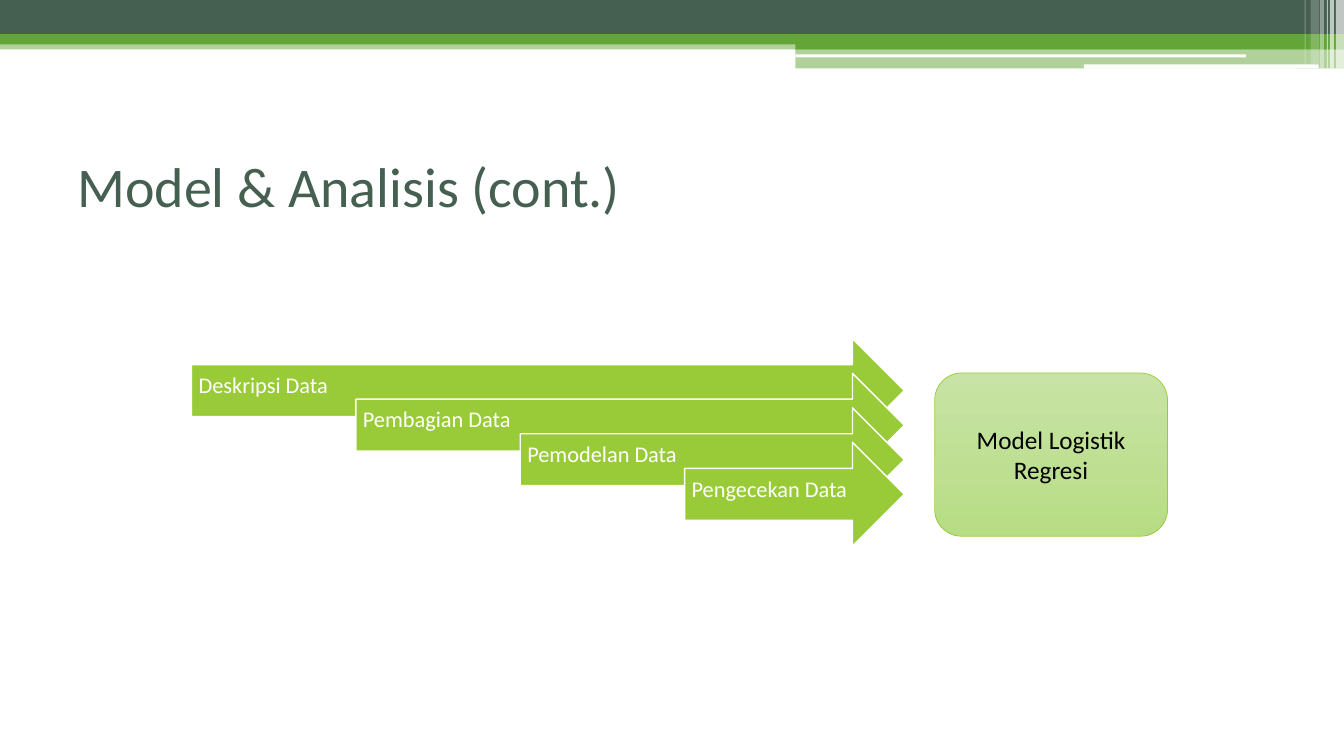
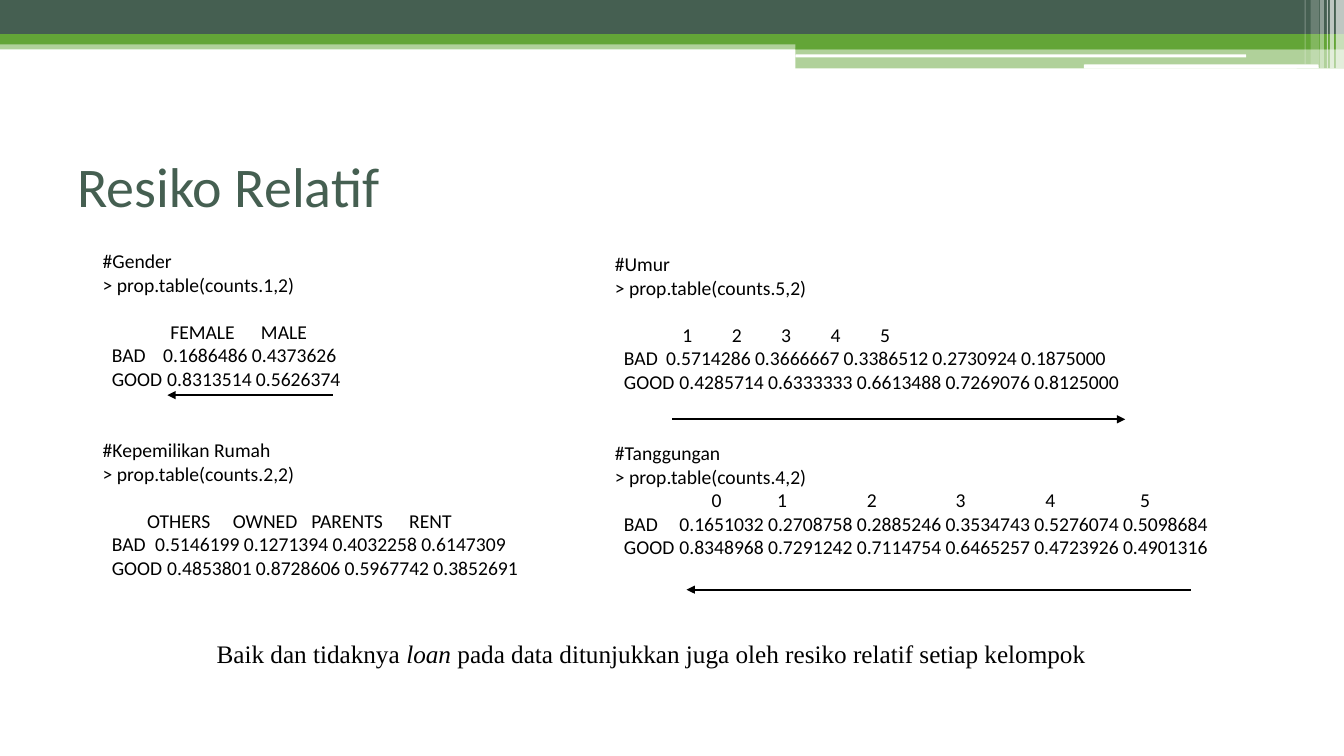
import pptx
import pptx.dml.color
import pptx.enum.shapes
import pptx.enum.text
import pptx.oxml.ns
import pptx.util
import lxml.etree

WIDTH, HEIGHT = 13.33, 7.5
COLORS = {"dark": "455F51", "green": "63A537", "lime": "99CB38", "pale": "C8E3A5",
          "soft": "B7DD84", "white": "FFFFFF", "black": "000000"}
SHAPES = pptx.enum.shapes.MSO_SHAPE
ALIGN = pptx.enum.text.PP_ALIGN
MIDDLE = pptx.enum.text.MSO_ANCHOR.MIDDLE
inches = pptx.util.Inches
qn = pptx.oxml.ns.qn


def add_block(slide, kind, box, color):
    """Add a flat preset shape without outline or shadow."""
    shape = slide.shapes.add_shape(kind, *[inches(length) for length in box])
    shape.shadow.inherit = False
    shape.fill.solid()
    shape.fill.fore_color.rgb = pptx.dml.color.RGBColor.from_string(COLORS[color])
    shape.line.fill.background()
    return shape


def add_run(paragraph, text, size, color, font="Calibri"):
    """Append one formatted run to a paragraph."""
    run = paragraph.add_run()
    run.text = text
    run.font.size = pptx.util.Pt(size)
    run.font.name = font
    run.font.color.rgb = pptx.dml.color.RGBColor.from_string(COLORS[color])
    return run


presentation = pptx.Presentation()
presentation.slide_width, presentation.slide_height = inches(WIDTH), inches(HEIGHT)
layout = presentation.slide_layouts[5]

# Titles
slides = []
for title_text in ("Model & Analisis (cont.)", "Resiko Relatif"):
    slide = presentation.slides.add_slide(layout)
    title = slide.shapes.title
    title.left, title.top = inches(WIDTH * 0.05), inches(HEIGHT / 6)
    title.width, title.height = inches(WIDTH * 0.9), inches(1.17)
    title.text_frame.vertical_anchor = MIDDLE
    paragraph = title.text_frame.paragraphs[0]
    paragraph.alignment = ALIGN.LEFT
    add_run(paragraph, title_text, 40, "dark")
    slides.append(slide)
model_slide, risk_slide = slides

# Shared bands, placed on the layout: kind, box, colour, opacity in percent
half_left = 7.89
half_width = WIDTH - half_left
bands = [
    (SHAPES.RECTANGLE, (0, 0.4, WIDTH, 0.09), "green", 50),
    (SHAPES.RECTANGLE, (0, 0, WIDTH, 0.34), "dark", 100),
    (SHAPES.RECTANGLE, (0, 0.34, WIDTH, 0.1), "green", 100),
    (SHAPES.RECTANGLE, (half_left, 0.39, half_width, 0.1), "green", 100),
    (SHAPES.RECTANGLE, (half_left, 0.48, half_width, 0.2), "green", 50),
    (SHAPES.ROUNDED_RECTANGLE, (half_left, 0.54, 4.47, 0.03), "white", 100),
    (SHAPES.ROUNDED_RECTANGLE, (10.75, 0.64, 2.33, 0.04), "white", 100),
]
for left, width, height, opacity in (
        (13.25, 0.08, 0.68, 65), (13.19, 0.04, 0.68, 65), (13.16, 0.01, 0.68, 60),
        (13.09, 0.04, 0.68, 40), (13, 0.08, 0.64, 20), (12.94, 0.01, 0.64, 30)):
    bands.append((SHAPES.RECTANGLE, (left, 0, width, height), "white", opacity))
for position, (kind, box, color, opacity) in enumerate(bands):
    band = add_block(model_slide, kind, box, color)
    if opacity < 100:
        color_element = band.element.spPr.find(".//" + qn("a:srgbClr"))
        lxml.etree.SubElement(color_element, qn("a:alpha"), val=str(opacity * 1000))
    layout.shapes.element.insert(2 + position, band.element)

# Slide 1: stepped arrows that share one right edge
arrow_right, first_left, first_top = 8.97, 1.9, 3.36
step_x, step_y = 1.63, 0.343
steps = ("Deskripsi Data", "Pembagian Data", "Pemodelan Data", "Pengecekan Data")
for index, step in enumerate(steps):
    left = first_left + index * step_x
    arrow = add_block(model_slide, SHAPES.RIGHT_ARROW,
                      (left, first_top + index * step_y, arrow_right - left, 1.03), "lime")
    arrow.line.color.rgb = pptx.dml.color.RGBColor.from_string(COLORS["white"])
    arrow.line.width = pptx.util.Pt(1)
    frame = arrow.text_frame
    frame.word_wrap = True
    frame.vertical_anchor = MIDDLE
    frame.margin_left = frame.margin_top = inches(0.07)
    frame.margin_right, frame.margin_bottom = inches(0.28), inches(0.16)
    frame.paragraphs[0].alignment = ALIGN.LEFT
    frame.paragraphs[0].line_spacing = 0.9
    add_run(frame.paragraphs[0], step, 16, "white")

result = add_block(model_slide, SHAPES.ROUNDED_RECTANGLE, (9.27, 3.7, 2.31, 1.62), "pale")
result.fill.gradient()
result.fill.gradient_angle = 270
for stop, color in zip(result.fill.gradient_stops, ("pale", "soft")):
    stop.color.rgb = pptx.dml.color.RGBColor.from_string(COLORS[color])
result.line.color.rgb = pptx.dml.color.RGBColor.from_string(COLORS["lime"])
result.line.width = pptx.util.Pt(0.5)
result.text_frame.word_wrap = True
result.text_frame.vertical_anchor = MIDDLE
result.text_frame.paragraphs[0].alignment = ALIGN.CENTER
add_run(result.text_frame.paragraphs[0], "Model Logistik Regresi", 18, "black")

# Slide 2: console output, columns held by tab stops
label_stop, good_stop, value_pitch, line_height = 0.09, 0.64, 0.88, 17
columns = [
    ((0.92, 2.42, 4.85, 3.64), [
        ("#Gender", "> prop.table(counts.1,2)", line_height,
         "FEMALE MALE", (0.67, 1.57), 0.6,
         "0.1686486 0.4373626", "0.8313514 0.5626374"),
        ("#Kepemilikan Rumah", "> prop.table(counts.2,2)", line_height,
         "OTHERS OWNED PARENTS RENT", (0.44, 1.29, 2.07, 3.04), 0.52,
         "0.5146199 0.1271394 0.4032258 0.6147309",
         "0.4853801 0.8728606 0.5967742 0.3852691"),
    ]),
    ((6, 2.45, 6.67, 3.16), [
        ("#Umur", "> prop.table(counts.5,2)", line_height,
         "1 2 3 4 5", [0.67 + 0.49 * column for column in range(5)], 0.51,
         "0.5714286 0.3666667 0.3386512 0.2730924 0.1875000",
         "0.4285714 0.6333333 0.6613488 0.7269076 0.8125000"),
        ("#Tanggungan", "> prop.table(counts.4,2)", 0,
         "0 1 2 3 4 5", (0.96, 1.61, 2.5, 3.38, 4.27, 5.21), 0.64,
         "0.1651032 0.2708758 0.2885246 0.3534743 0.5276074 0.5098684",
         "0.8348968 0.7291242 0.7114754 0.6465257 0.4723926 0.4901316"),
    ]),
]
for box, tables in columns:
    frame = risk_slide.shapes.add_textbox(*[inches(length) for length in box]).text_frame
    frame.word_wrap = True
    for number, (name, command, header_gap, header, header_stops,
                 bad_stop, bad, good) in enumerate(tables):
        bad_stops, good_stops = [
            [label_stop] + [first + value_pitch * column for column in range(len(bad.split()))]
            for first in (bad_stop, good_stop)]
        lines = [
            (name, (), number * 2 * line_height),
            (command, (), 0),
            ("\t" + header.replace(" ", "\t"), header_stops, header_gap),
            ("\tBAD\t" + bad.replace(" ", "\t"), bad_stops, 0),
            ("\tGOOD\t" + good.replace(" ", "\t"), good_stops, 0),
        ]
        for text, stops, gap in lines:
            first_line = number == 0 and text == name
            paragraph = frame.paragraphs[0] if first_line else frame.add_paragraph()
            paragraph.space_before = pptx.util.Pt(gap)
            add_run(paragraph, text, 14, "black")
            if stops:
                properties = paragraph.runs[0].font and paragraph._p.get_or_add_pPr()
                tab_list = lxml.etree.SubElement(properties, qn("a:tabLst"))
                for stop in stops:
                    lxml.etree.SubElement(tab_list, qn("a:tab"), pos=str(inches(stop)), algn="l")

caption = risk_slide.shapes.add_textbox(inches(2.05), inches(6.28), inches(10.61), inches(0.4))
caption.text_frame.word_wrap = True
for text, italic in (("Baik dan tidaknya ", False), ("loan", True),
                     (" pada data ditunjukkan juga oleh resiko relatif setiap kelompok", False)):
    run = add_run(caption.text_frame.paragraphs[0], text, 18, "black", "Times New Roman")
    run.font.italic = italic

# Arrows toward the lower risk
for start, end, level in ((3.3, 1.66, 3.92), (11.81, 6.81, 5.85), (6.67, 11.16, 4.16)):
    trend = risk_slide.shapes.add_connector(
        pptx.enum.shapes.MSO_CONNECTOR.STRAIGHT,
        inches(start), inches(level), inches(end), inches(level))
    trend.line.color.rgb = pptx.dml.color.RGBColor.from_string(COLORS["black"])
    trend.line.width = pptx.util.Pt(1.5)
    lxml.etree.SubElement(trend.line._get_or_add_ln(), qn("a:tailEnd"), type="triangle")
    lxml.etree.SubElement(trend.element.spPr, qn("a:effectLst"))

presentation.save("out.pptx")
